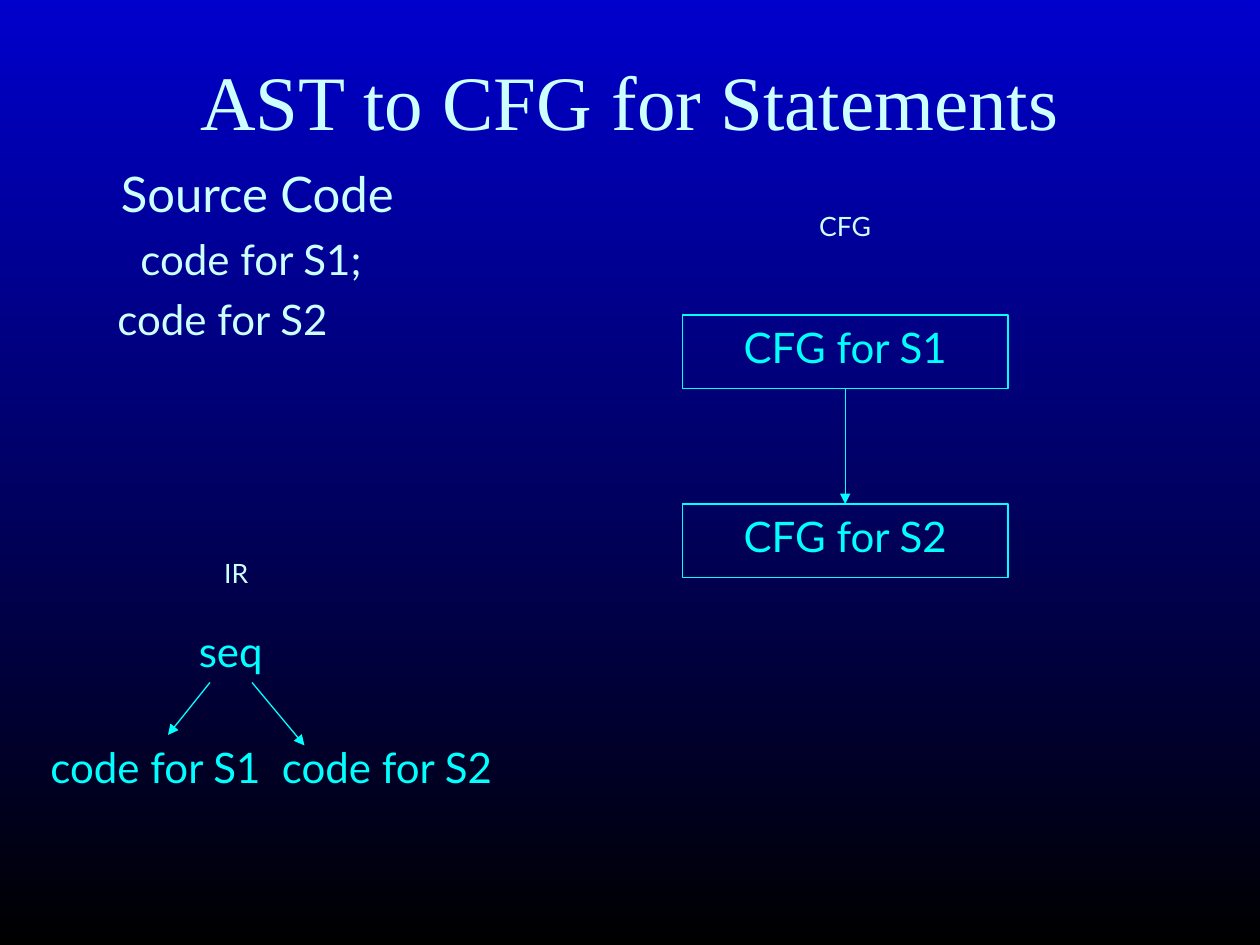
from pptx import Presentation
from pptx.util import Pt
from pptx.dml.color import RGBColor
from pptx.enum.shapes import MSO_SHAPE as Shape, MSO_CONNECTOR as Conn
from pptx.enum.text import PP_ALIGN as Align, MSO_ANCHOR as Anchor
from pptx.oxml.ns import qn
from lxml.etree import SubElement as Sub

BLUE = RGBColor(0x00, 0x00, 0xCC)
BLACK = RGBColor(0x00, 0x00, 0x00)
PALE = RGBColor(0xCC, 0xFF, 0xFF)
CYAN = RGBColor(0x00, 0xFF, 0xFF)


def write(para, text, size, color, align=Align.CENTER, face="Lato"):
    para.alignment = align
    run = para.add_run()
    run.text = text
    run.font.size = Pt(size)
    run.font.name = face
    run.font.color.rgb = color


def arrow(x1, y1, x2, y2):
    line = slide.shapes.add_connector(Conn.STRAIGHT, Pt(x1), Pt(y1), Pt(x2), Pt(y2))
    line.line.color.rgb = CYAN
    line.line.width = Pt(0.75)
    Sub(line.line._get_or_add_ln(), qn("a:tailEnd"), type="triangle")
    Sub(line._element.spPr, qn("a:effectLst"))


deck = Presentation()
deck.slide_width, deck.slide_height = Pt(720), Pt(540)
slide = deck.slides.add_slide(deck.slide_layouts[6])

# Background, blue down to black
fill = slide.background.fill
fill.gradient()
fill.gradient_angle = 270
for stop, color in zip(fill.gradient_stops, (BLUE, BLACK)):
    stop.color.rgb = color

# Title
frame = slide.shapes.add_textbox(Pt(30), Pt(12), Pt(660), Pt(90)).text_frame
frame.word_wrap = True
frame.vertical_anchor = Anchor.MIDDLE
write(frame.paragraphs[0], "AST to CFG for Statements", 44, PALE, face="Times New Roman")

# Source code
frame = slide.shapes.add_textbox(Pt(30), Pt(90), Pt(234), Pt(210)).text_frame
frame.word_wrap = True
write(frame.paragraphs[0], "Source Code", 28, PALE)
for text, left in (("code for S1;", 43.2), ("code for S2", 30)):
    para = frame.add_paragraph()
    para.space_before = Pt(6)
    para._p.get_or_add_pPr().set("marL", str(Pt(left)))
    write(para, text, 24, PALE, Align.LEFT)

# Headings of the two diagrams
for text, x, y in (("IR", 84, 318), ("CFG", 432, 120)):
    frame = slide.shapes.add_textbox(Pt(x), Pt(y), Pt(102), Pt(48)).text_frame
    frame.word_wrap = True
    frame.paragraphs[0].line_spacing = 0.8
    write(frame.paragraphs[0], text, 15.2, PALE)

# IR tree
for text, x, y, wide in (
    ("seq", 106.5, 354, 54),
    ("code for S1", 21.75, 420, 140),
    ("code for S2", 154, 420, 140),
):
    frame = slide.shapes.add_textbox(Pt(x), Pt(y), Pt(wide), Pt(36)).text_frame
    frame.word_wrap = False
    write(frame.paragraphs[0], text, 24, CYAN, Align.LEFT)
arrow(120, 390, 96, 420)
arrow(144, 390, 174, 426)

# CFG blocks
for text, y in (("CFG for S1", 180), ("CFG for S2", 288)):
    block = slide.shapes.add_shape(Shape.RECTANGLE, Pt(390), Pt(y), Pt(186), Pt(42))
    block.shadow.inherit = False
    block.fill.background()
    block.line.color.rgb = CYAN
    block.line.width = Pt(0.75)
    block.text_frame.vertical_anchor = Anchor.TOP
    write(block.text_frame.paragraphs[0], text, 24, CYAN)
arrow(483, 222, 483, 288)

deck.save("out.pptx")
